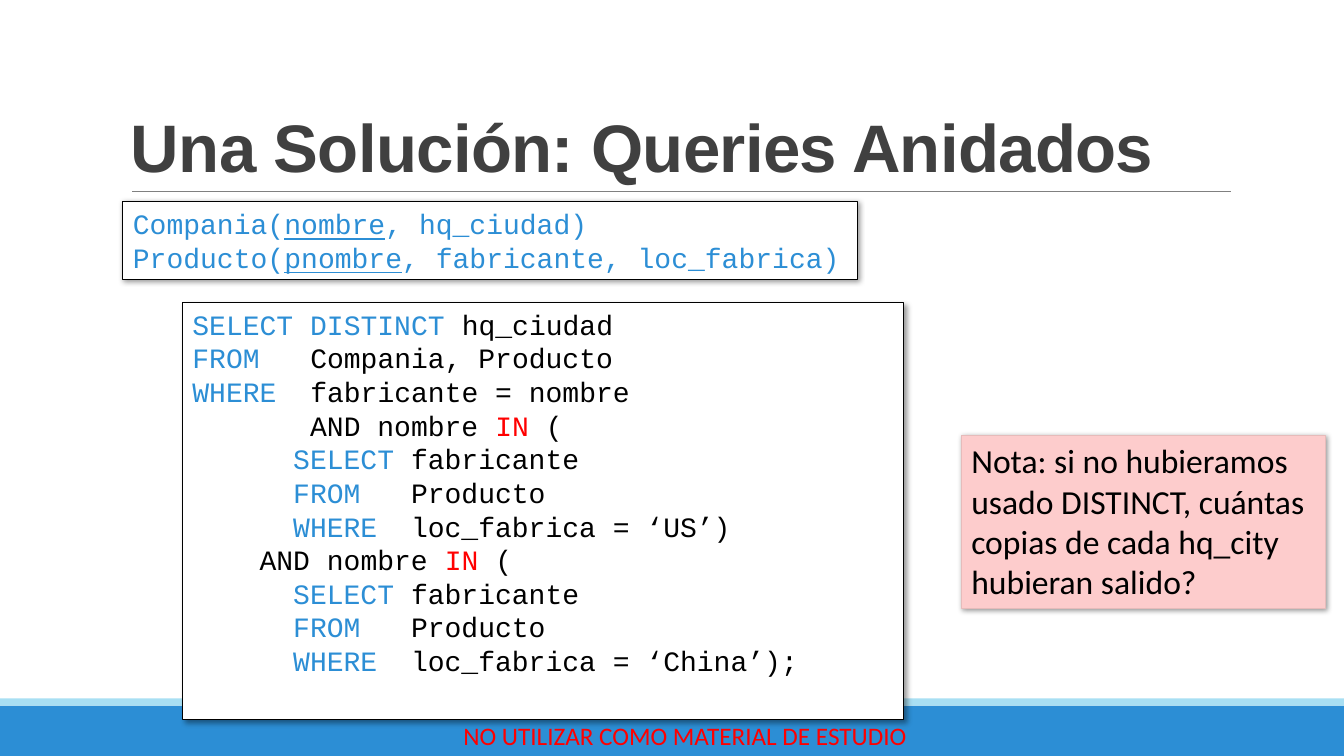
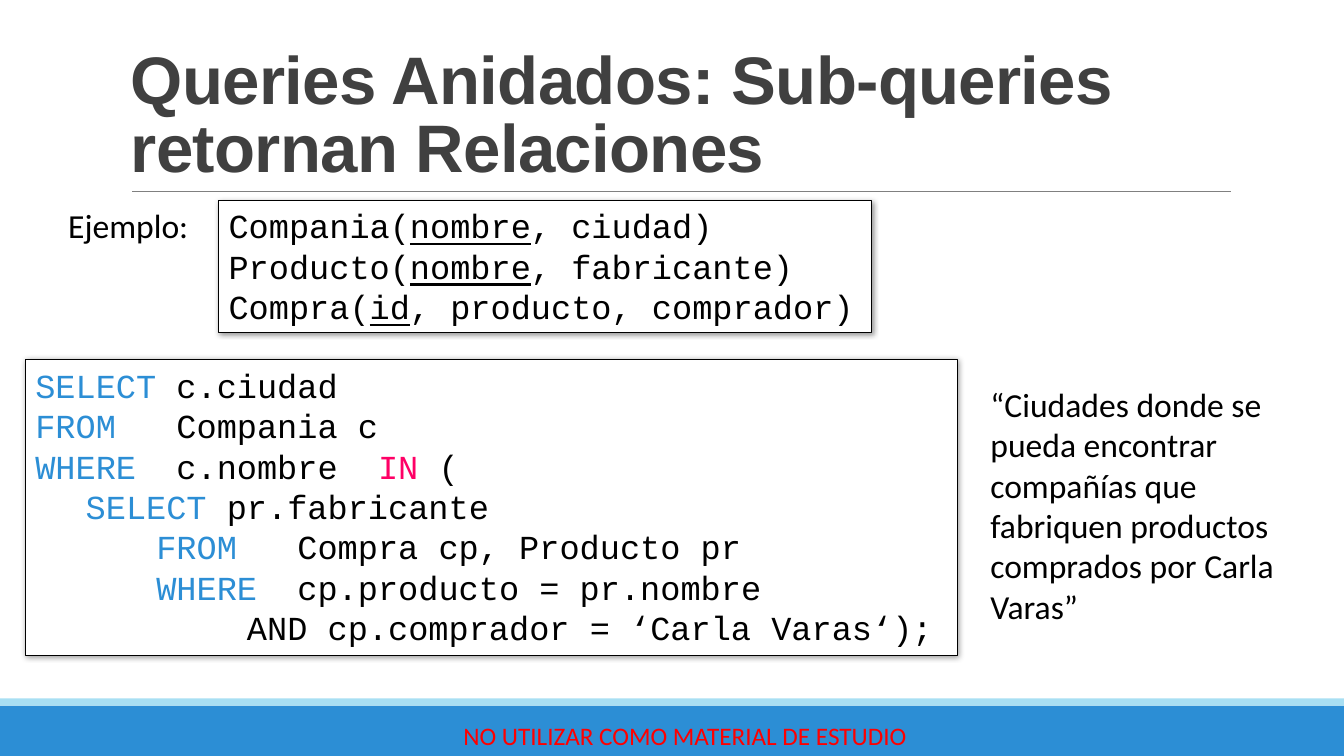
from lxml import etree
from pptx import Presentation
from pptx.dml.color import RGBColor
from pptx.enum import shapes, text
from pptx.oxml import ns
from pptx.util import Cm, Pt

COLOURS = {
    "white": "FFFFFF", "black": "000000", "blue": "2C8ED5", "sky": "A8DFF3",
    "grey": "808080", "dark": "404040", "red": "FF0000", "magenta": "FF0066",
    "pink": "FDCCCC", "rose": "E6BBBA",
}
TITLE_FONT, BODY_FONT, CODE_FONT = "Arial", "Calibri", "Courier New"
WIDTH, HEIGHT = 33.87, 19.05
TAB = 1.27
FOOTER = "NO UTILIZAR COMO MATERIAL DE ESTUDIO"


def rgb(name):
    return RGBColor.from_string(COLOURS[name])


def add_xml(parent, tag, **attributes):
    child = etree.SubElement(parent, ns.qn(tag))
    for key, value in attributes.items():
        child.set(key, str(value))
    return child


class Deck:
    """Holds the shared style and the slide being filled."""

    def __init__(self):
        self.prs = Presentation()
        self.prs.slide_width, self.prs.slide_height = Cm(WIDTH), Cm(HEIGHT)
        self.slide = None

    def new_slide(self, title):
        self.slide = self.prs.slides.add_slide(self.prs.slide_layouts[6])
        self.panel((0, 17.78, WIDTH, 1.27), "blue")
        self.panel((0, 17.6, WIDTH, 0.18), "sky")
        self.rule(3.33, 31.01, 4.83)
        self.label((10.57, 18.03, 13.39, 1.02), FOOTER, 18, "red",
                   text.PP_ALIGN.CENTER, text.MSO_ANCHOR.MIDDLE)
        self.title(title)

    def rule(self, left, right, top):
        line = self.slide.shapes.add_connector(
            shapes.MSO_CONNECTOR.STRAIGHT, Cm(left), Cm(top), Cm(right), Cm(top))
        line.line.color.rgb = rgb("grey")
        line.line.width = Pt(0.5)
        add_xml(line._element.spPr, "a:effectLst")

    def panel(self, box, fill, border=None, shadow=None):
        """Add a filled rectangle; shadow is its distance in points."""
        panel = self.slide.shapes.add_shape(
            shapes.MSO_SHAPE.RECTANGLE, *map(Cm, box))
        panel.shadow.inherit = False
        panel.fill.solid()
        panel.fill.fore_color.rgb = rgb(fill)
        if border:
            panel.line.color.rgb = rgb(border)
            panel.line.width = Pt(0.75)
        else:
            panel.line.fill.background()
        if shadow:
            effects = panel._element.spPr.find(ns.qn("a:effectLst"))
            outer = add_xml(effects, "a:outerShdw", blurRad=Pt(4), dist=Pt(shadow),
                            dir=45 * 60000, algn="tl", rotWithShape=0)
            colour = add_xml(outer, "a:srgbClr", val=COLOURS["black"])
            add_xml(colour, "a:alpha", val=40000)
        return panel

    def fill_text(self, holder, lines, font, size, colour="black", bold=False,
                  align=text.PP_ALIGN.LEFT, anchor=text.MSO_ANCHOR.TOP, tabs=0):
        """Fill a shape; each line lists strings or (string, colour, underline)."""
        frame = holder.text_frame
        frame.word_wrap = True
        frame.vertical_anchor = anchor
        for index, line in enumerate(lines):
            paragraph = frame.paragraphs[0] if index == 0 else frame.add_paragraph()
            paragraph.alignment = align
            if tabs:
                stops = add_xml(paragraph._p.get_or_add_pPr(), "a:tabLst")
                for stop in range(1, tabs + 1):
                    add_xml(stops, "a:tab", pos=Cm(TAB * stop), algn="l")
            for part in line:
                words, tint, underline = (part, colour, False) if isinstance(part, str) else part
                run = paragraph.add_run()
                run.text = words
                run.font.name, run.font.size, run.font.bold = font, Pt(size), bold
                run.font.color.rgb = rgb(tint)
                if underline:
                    run.font.underline = True
        return frame

    def textbox(self, box):
        return self.slide.shapes.add_textbox(*map(Cm, box))

    def title(self, words):
        frame = self.fill_text(self.textbox((3.05, 0.79, 27.94, 4.04)), [[words]],
                               TITLE_FONT, 48, "dark", True,
                               anchor=text.MSO_ANCHOR.BOTTOM)
        heading = frame.paragraphs[0]
        heading.line_spacing = 0.85
        heading.runs[0]._r.get_or_add_rPr().set("spc", "-50")

    def label(self, box, words, size=24, colour="black",
              align=text.PP_ALIGN.LEFT, anchor=text.MSO_ANCHOR.TOP):
        self.fill_text(self.textbox(box), [[words]], BODY_FONT, size, colour,
                       align=align, anchor=anchor)

    def note(self, box, words):
        self.fill_text(self.panel(box, "pink", "rose", 1), [[words]], BODY_FONT, 24)

    def code(self, box, lines, size, shadow=1):
        self.fill_text(self.panel(box, "white", "black", shadow), lines,
                       CODE_FONT, size, tabs=2)

    def schema(self, box, relations, size, colour):
        """Show relations given as (name, key, other attributes)."""
        lines = [[f"{name}(", (key, colour, True), f", {others})"]
                 for name, key, others in relations]
        self.fill_text(self.panel(box, "white", "black", 1), lines,
                       CODE_FONT, size, colour)


def sql(words, colour="blue"):
    return words, colour, False


def factory_subquery(country, ending):
    return [
        [sql("\t\tSELECT "), "fabricante"],
        [sql("\t\tFROM   "), "Producto"],
        [sql("\t\tWHERE  "), f"loc_fabrica = ‘{country}’){ending}"],
    ]


def nested_solution(deck):
    deck.new_slide("Una Solución: Queries Anidados")
    deck.code((4.6, 7.62, 18.16, 10.52), [
        [sql("SELECT DISTINCT "), "hq_ciudad"],
        [sql("FROM   "), "Compania, Producto"],
        [sql("WHERE  "), "fabricante = nombre"],
        ["       AND nombre ", sql("IN ", "red"), "("],
        *factory_subquery("US", ""),
        ["\t AND nombre ", sql("IN ", "red"), "("],
        *factory_subquery("China", ";"),
    ], 20, shadow=3)
    deck.note((24.23, 10.97, 9.17, 4.37),
              "Nota: si no hubieramos usado DISTINCT, cuántas copias de cada "
              "hq_city hubieran salido?")
    deck.schema((3.1, 5.08, 18.52, 1.96), [
        ("Compania", "nombre", "hq_ciudad"),
        ("Producto", "pnombre", "fabricante, loc_fabrica"),
    ], 20, "blue")


def subquery_relations(deck):
    deck.new_slide("Queries Anidados: Sub-queries retornan Relaciones")
    deck.code((0.64, 9.07, 23.5, 7.44), [
        [sql("SELECT "), "c.ciudad"],
        [sql("FROM   "), "Compania c"],
        [sql("WHERE  "), "c.nombre  ", sql("IN", "magenta"), " ("],
        [sql("\tSELECT "), "pr.fabricante"],
        [sql("      FROM   "), "Compra cp, Producto pr"],
        [sql("      WHERE  "), "cp.producto = pr.nombre"],
        ["\t        AND cp.comprador = ‘Carla Varas‘);"],
    ], 24)
    deck.label((24.71, 9.55, 8.48, 6.4),
               "“Ciudades donde se pueda encontrar compañías que fabriquen "
               "productos comprados por Carla Varas”")
    deck.schema((5.51, 5.05, 16.46, 3.33), [
        ("Compania", "nombre", "ciudad"),
        ("Producto", "nombre", "fabricante"),
        ("Compra", "id", "producto, comprador"),
    ], 24, "black")
    deck.label((1.47, 5.05, 3.66, 1.27), "Ejemplo:")


def main():
    deck = Deck()
    nested_solution(deck)
    subquery_relations(deck)
    deck.prs.save("out.pptx")


if __name__ == "__main__":
    main()
